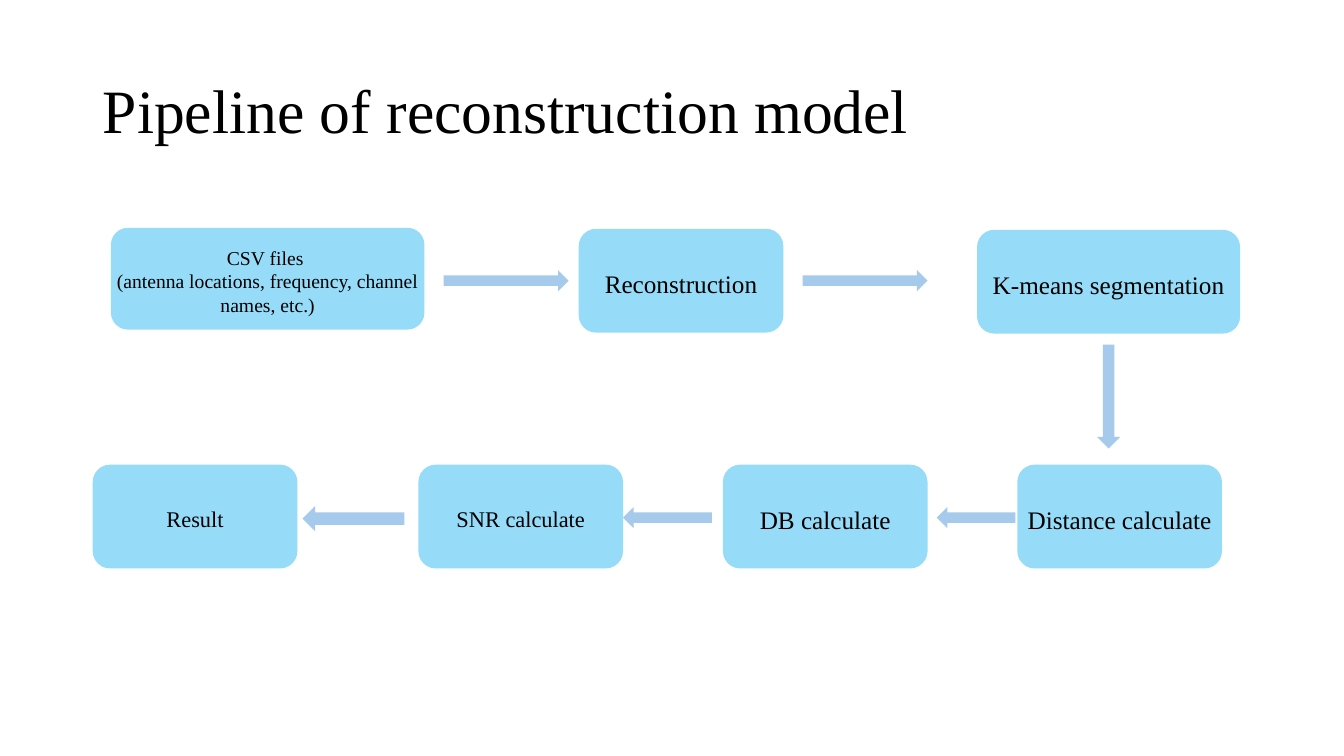
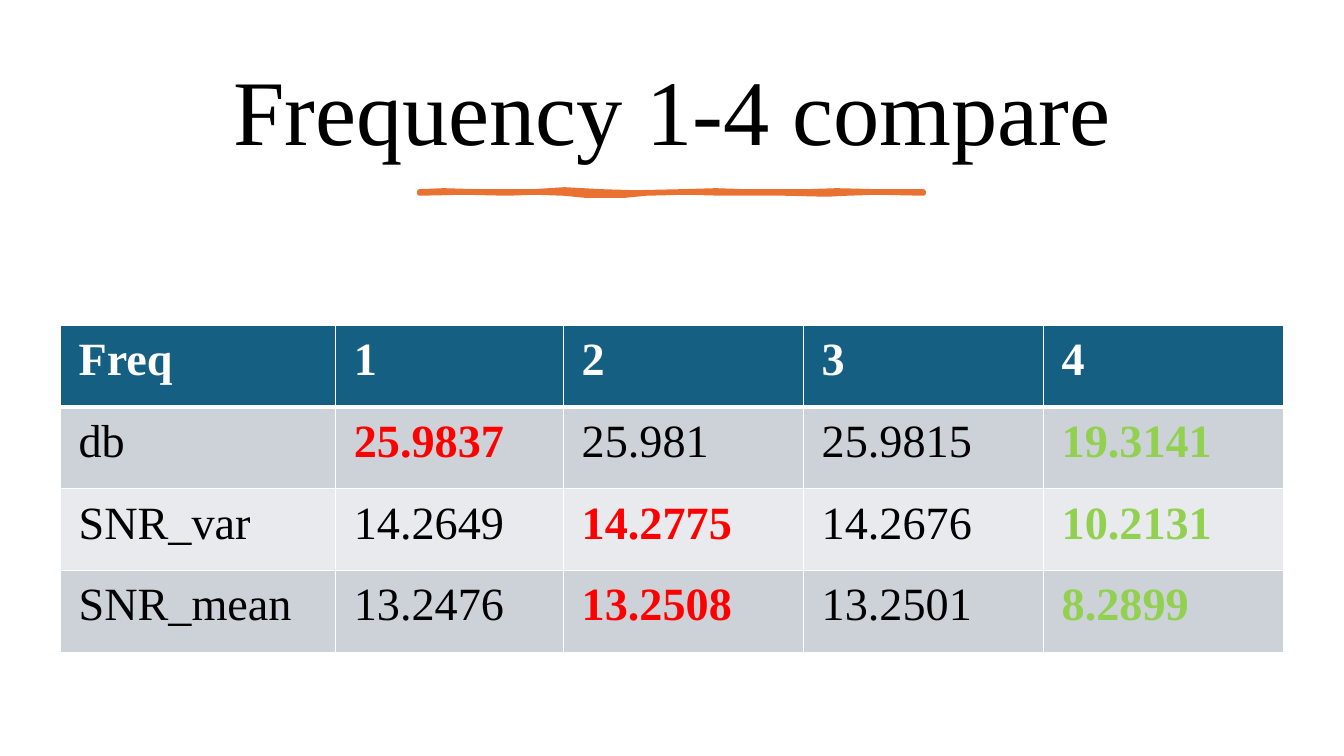
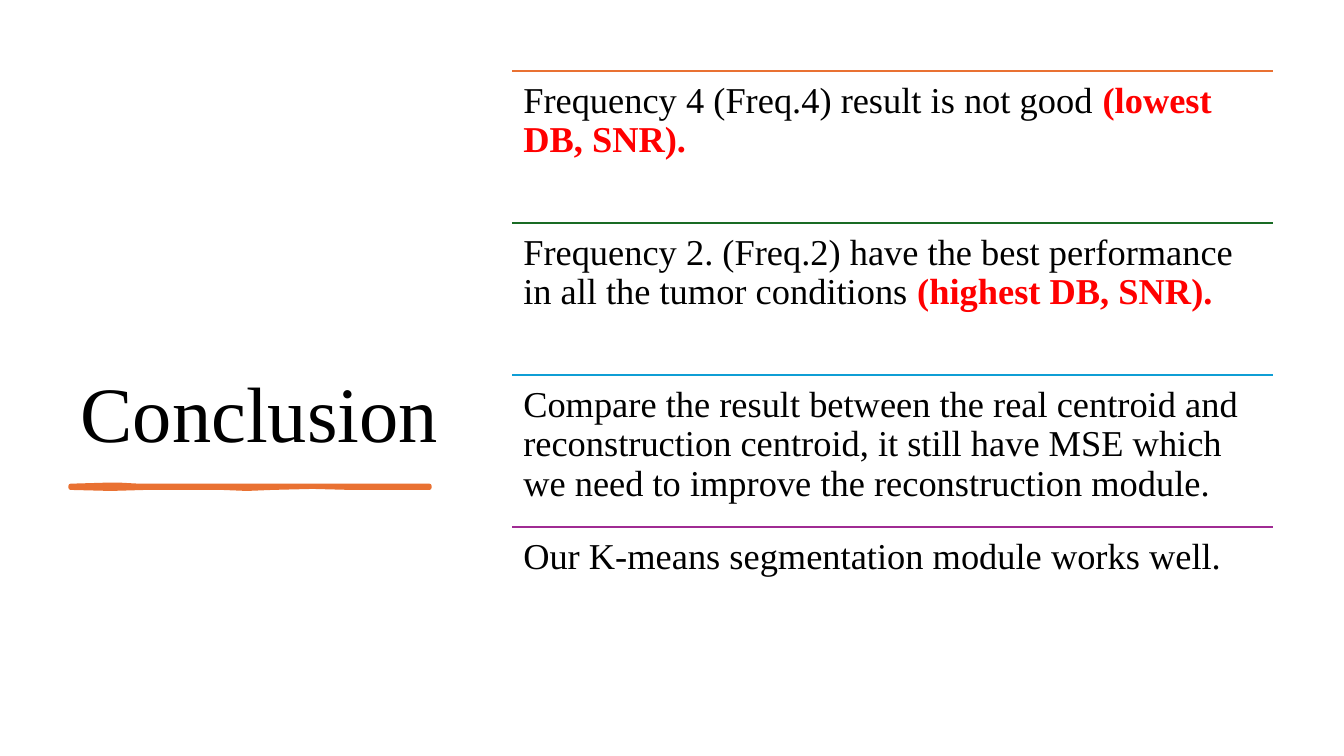
import dataclasses

import lxml.etree
import pptx
import pptx.dml.color
import pptx.enum.shapes
import pptx.enum.text
import pptx.oxml
import pptx.oxml.ns
import pptx.util

Inches = pptx.util.Inches
Align = pptx.enum.text.PP_ALIGN
Anchor = pptx.enum.text.MSO_ANCHOR
Shape = pptx.enum.shapes.MSO_SHAPE
rgb = pptx.dml.color.RGBColor.from_string
qn = pptx.oxml.ns.qn


@dataclasses.dataclass(frozen=True)
class Theme:
    font: str = "Times New Roman"
    text: str = "000000"
    white: str = "FFFFFF"
    box: str = "96DCF8"
    arrow: str = "A6CAEC"
    accent: str = "E97132"
    green: str = "196B24"
    blue: str = "0F9ED5"
    purple: str = "A02B93"
    header: str = "156082"
    bands: tuple = ("CCD2D8", "E8EAED")
    best: str = "FF0000"
    worst: str = "92D050"
    title_size: int = 44
    table_title_size: int = 66
    conclusion_title_size: int = 56
    table_size: int = 33
    point_size: int = 26
    box_size: int = 18
    small_box_size: int = 16
    note_size: int = 14


theme = Theme()


def write(paragraph, text, size, color=theme.text, bold=False, align=Align.LEFT, spacing=1.0):
    paragraph.alignment = align
    paragraph.line_spacing = spacing
    run = paragraph.add_run()
    run.text = text
    run.font.name = theme.font
    run.font.size = pptx.util.Pt(size)
    run.font.bold = bold
    run.font.color.rgb = rgb(color)


def draw_stroke(slide, outline, width):
    points = [(Inches(x), Inches(y)) for x, y in outline]
    builder = slide.shapes.build_freeform(*points[0], scale=1.0)
    builder.add_line_segments(points[1:], close=True)
    stroke = builder.convert_to_shape()
    stroke.shadow.inherit = False
    stroke.fill.solid()
    stroke.fill.fore_color.rgb = rgb(theme.accent)
    stroke.line.color.rgb = rgb(theme.accent)
    stroke.line.width = pptx.util.Pt(width)


presentation = pptx.Presentation()
presentation.slide_width = Inches(13.33)
presentation.slide_height = Inches(7.5)

titles = [
    ("Pipeline of reconstruction model", (0.92, 0.4, 11.5, 1.45),
     theme.title_size, Align.LEFT, Anchor.MIDDLE),
    ("Frequency 1-4 compare", (0.7, 0.46, 11.93, 1.37),
     theme.table_title_size, Align.CENTER, Anchor.MIDDLE),
    ("Conclusion", (0.7, 0.7, 3.91, 3.91),
     theme.conclusion_title_size, Align.LEFT, Anchor.BOTTOM),
]
slides = []
for text, place, size, align, anchor in titles:
    slide = presentation.slides.add_slide(presentation.slide_layouts[5])
    title = slide.shapes.title
    title.left, title.top, title.width, title.height = map(Inches, place)
    title.text_frame.auto_size = pptx.enum.text.MSO_AUTO_SIZE.NONE
    title.text_frame.vertical_anchor = anchor
    write(title.text_frame.paragraphs[0], text, size, align=align, spacing=0.9)
    slides.append(slide)
pipeline_slide, table_slide, conclusion_slide = slides

boxes = [
    (1.1, 2.26, 3.11, 1.01, theme.note_size,
     ["CSV files ", "(antenna locations, frequency, channel names, etc.)"]),
    (5.74, 2.27, 2.03, 1.03, theme.box_size, ["Reconstruction"]),
    (9.69, 2.28, 2.61, 1.03, theme.box_size, ["K-means segmentation"]),
    (10.09, 4.61, 2.03, 1.03, theme.box_size, ["Distance calculate"]),
    (7.17, 4.61, 2.03, 1.03, theme.box_size, ["DB calculate"]),
    (4.15, 4.61, 2.03, 1.03, theme.small_box_size, ["SNR calculate"]),
    (0.92, 4.61, 2.03, 1.03, theme.small_box_size, ["Result"]),
]
for left, top, width, height, size, lines in boxes:
    box = pipeline_slide.shapes.add_shape(
        Shape.ROUNDED_RECTANGLE, Inches(left), Inches(top), Inches(width), Inches(height))
    box.shadow.inherit = False
    box.fill.solid()
    box.fill.fore_color.rgb = rgb(theme.box)
    box.line.fill.background()
    frame = box.text_frame
    frame.word_wrap = True
    frame.vertical_anchor = Anchor.MIDDLE
    frame.margin_left = frame.margin_right = frame.margin_bottom = 0
    frame.margin_top = Inches(0.05)
    for index, line in enumerate(lines):
        paragraph = frame.add_paragraph() if index else frame.paragraphs[0]
        write(paragraph, line, size, align=Align.CENTER)

arrows = [
    (4.4, 2.68, 1.24, 0.21, 0),
    (7.96, 2.68, 1.24, 0.21, 0),
    (10.48, 3.82, 1.03, 0.23, 90),
    (9.29, 5.03, 0.78, 0.21, 180),
    (6.18, 5.03, 0.88, 0.21, 180),
    (3, 5.02, 1.01, 0.25, 180),
]
for left, top, width, height, rotation in arrows:
    arrow = pipeline_slide.shapes.add_shape(
        Shape.RIGHT_ARROW, Inches(left), Inches(top), Inches(width), Inches(height))
    arrow.rotation = rotation
    arrow.shadow.inherit = False
    arrow.fill.solid()
    arrow.fill.fore_color.rgb = rgb(theme.arrow)
    arrow.line.fill.background()

draw_stroke(table_slide, [
    (4.16, 1.9), (4.4, 1.89), (4.73, 1.9), (5.29, 1.9), (5.6, 1.88), (5.96, 1.9),
    (6.3, 1.91), (6.77, 1.9), (7.1, 1.89), (7.39, 1.9), (8, 1.9), (8.3, 1.89),
    (8.7, 1.9), (9.16, 1.9), (9.16, 1.92), (8.7, 1.91), (8.4, 1.92), (8.2, 1.93),
    (7.79, 1.92), (7.17, 1.92), (6.8, 1.91), (6.41, 1.92), (6.2, 1.94), (6, 1.94),
    (5.8, 1.94), (5.59, 1.92), (5.3, 1.91), (5.03, 1.92), (4.6, 1.91), (4.16, 1.92),
], 3.25)

rows = [
    ("Freq", "1", "2", "3", "4"),
    ("db", "25.9837", "25.981", "25.9815", "19.3141"),
    ("SNR_var", "14.2649", "14.2775", "14.2676", "10.2131"),
    ("SNR_mean", "13.2476", "13.2508", "13.2501", "8.2899"),
]
best_columns = {1: 1, 2: 2, 3: 2}
worst_column = 4
table = table_slide.shapes.add_table(
    len(rows), len(rows[0]), Inches(0.6), Inches(3.23), Inches(12.12), Inches(3.23)).table
for column, width in zip(table.columns, (2.73, 2.26, 2.38, 2.38, 2.38)):
    column.width = Inches(width)
for row_index, values in enumerate(rows):
    table.rows[row_index].height = Inches(0.81)
    for column_index, value in enumerate(values):
        if row_index == 0:
            fill, color = theme.header, theme.white
        else:
            fill, color = theme.bands[(row_index - 1) % 2], theme.text
            if column_index == best_columns[row_index]:
                color = theme.best
            elif column_index == worst_column:
                color = theme.worst
        cell = table.cell(row_index, column_index)
        cell.margin_left = cell.margin_right = Inches(0.18)
        cell.margin_top = cell.margin_bottom = Inches(0.09)
        cell.fill.solid()
        cell.fill.fore_color.rgb = rgb(fill)
        write(cell.text_frame.paragraphs[0], value, theme.table_size,
              color=color, bold=color != theme.text)
        borders = {"L": 1, "R": 1, "T": 3 if row_index == 1 else 1, "B": 3 if row_index == 0 else 1}
        properties = cell._tc.get_or_add_tcPr()
        for position, (side, points) in enumerate(borders.items()):
            border = lxml.etree.Element(qn("a:ln" + side), w=str(pptx.util.Pt(points)))
            solid = lxml.etree.SubElement(border, qn("a:solidFill"))
            lxml.etree.SubElement(solid, qn("a:srgbClr"), val=theme.white)
            properties.insert(position, border)

draw_stroke(conclusion_slide, [
    (0.7, 4.82), (1.04, 4.81), (1.2, 4.81), (1.38, 4.82), (2.09, 4.82), (2.84, 4.82),
    (3.1, 4.82), (3.44, 4.82), (4.26, 4.82), (4.26, 4.84), (3.8, 4.84), (3.48, 4.84),
    (3.1, 4.83), (2.7, 4.84), (2.45, 4.85), (2.2, 4.84), (1.45, 4.84), (1.1, 4.85), (0.7, 4.84),
], 3)

points = [
    (theme.accent, "Frequency 4 (Freq.4) result is not good ", "(lowest DB, SNR)."),
    (theme.green, "Frequency 2. (Freq.2) have the best performance in all the tumor conditions ",
     "(highest DB, SNR)."),
    (theme.blue, "Compare the result between the real centroid and reconstruction centroid, "
     "it still have MSE which we need to improve the reconstruction module.", ""),
    (theme.purple, "Our K-means segmentation module works well.", ""),
]
point_left, point_top, point_width, point_height = map(Inches, (5.08, 0.7, 7.55, 1.51))
for index, (color, statement, emphasis) in enumerate(points):
    top = point_top + index * point_height
    rule = conclusion_slide.shapes.add_connector(
        pptx.enum.shapes.MSO_CONNECTOR.STRAIGHT, point_left, top, point_left + point_width, top)
    rule.line.color.rgb = rgb(color)
    rule.line.width = pptx.util.Pt(1.5)
    lxml.etree.SubElement(rule._element.spPr, qn("a:effectLst"))
    frame = conclusion_slide.shapes.add_textbox(
        point_left, top, point_width, point_height).text_frame
    frame.word_wrap = True
    frame.margin_left = frame.margin_right = Inches(0.11)
    frame.margin_top = frame.margin_bottom = Inches(0.11)
    paragraph = frame.paragraphs[0]
    write(paragraph, statement, theme.point_size, spacing=0.9)
    if emphasis:
        write(paragraph, emphasis, theme.point_size, color=theme.best, bold=True, spacing=0.9)

presentation.save("out.pptx")
